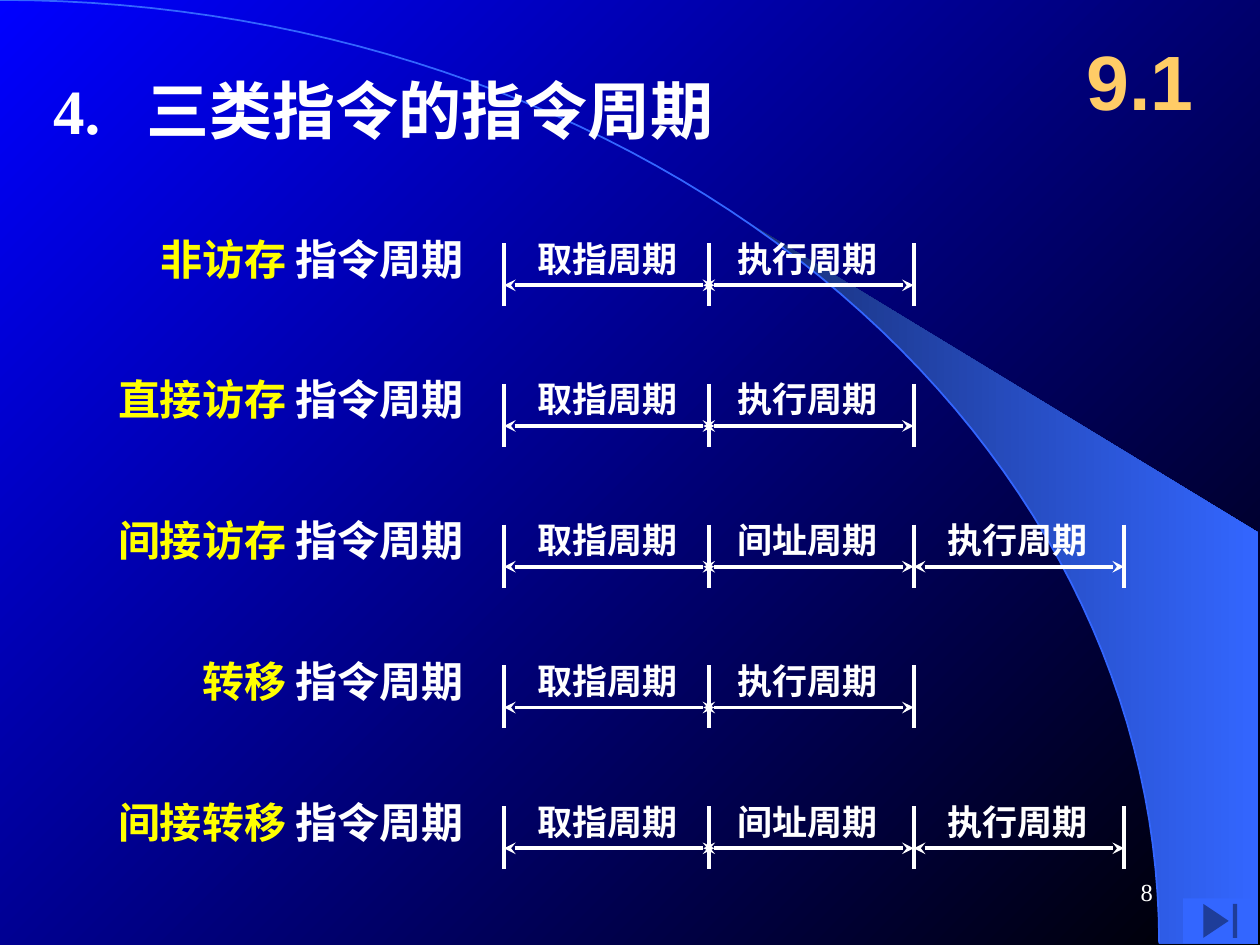
import math
from dataclasses import dataclass

from lxml import etree
from pptx import Presentation
from pptx import util as u
from pptx.dml import color
from pptx.enum import shapes, text
from pptx.oxml import ns


@dataclass(frozen=True)
class Theme:
    """Colours, fonts and type sizes of the deck."""
    white: str = "FFFFFF"
    yellow: str = "FFFF00"
    gold: str = "FFCC66"
    blue: str = "3366FF"
    beam_dark: str = "182F76"
    sky: tuple = ("0000FF", "000000")
    serif: str = "Times New Roman"
    sans: str = "Arial"
    section_size: int = 44
    title_size: int = 36
    kind_size: int = 24
    phase_size: int = 20
    page_size: int = 14
    rule_width: float = 2.25


THEME = Theme()
FETCH, INDIRECT, EXECUTE = "取指周期", "间址周期", "执行周期"
CYCLES = [
    ("非访存", [FETCH, EXECUTE]),
    ("直接访存", [FETCH, EXECUTE]),
    ("间接访存", [FETCH, INDIRECT, EXECUTE]),
    ("转移", [FETCH, EXECUTE]),
    ("间接转移", [FETCH, INDIRECT, EXECUTE]),
]
TICKS = [0, 4.13, 8.26, 12.5]
PHASE_STARTS = [0, 4.02, 8.26]
PHASE_LENGTH = 4.24


def rgb(code):
    """Turn a hex code into a colour."""
    return color.RGBColor.from_string(code)


def shade(fill, codes, angle):
    """Fill with a two-colour linear gradient."""
    fill.gradient()
    fill.gradient_angle = angle
    for stop, code, position in zip(fill.gradient_stops, codes, (0, 1)):
        stop.color.rgb = rgb(code)
        stop.position = position


def write(parent, box, runs, size, font=THEME.serif, bold=True, wrap=False,
          align=text.PP_ALIGN.LEFT, anchor=text.MSO_ANCHOR.TOP, side=0.25, tab=None):
    """Add a one-line text box holding (wording, colour) runs."""
    frame = parent.add_textbox(*map(u.Cm, box)).text_frame
    frame.word_wrap = wrap
    frame.vertical_anchor = anchor
    frame.margin_left = frame.margin_right = u.Cm(side)
    frame.margin_top = frame.margin_bottom = u.Cm(0.13)
    line = frame.paragraphs[0]
    line.alignment = align
    if tab:
        stops = etree.SubElement(line._p.get_or_add_pPr(), ns.qn("a:tabLst"))
        etree.SubElement(stops, ns.qn("a:tab"), pos=str(u.Cm(tab)), algn="l")
    line.font.name, line.font.size, line.font.bold = font, u.Pt(size), bold
    for wording, code in runs:
        run = line.add_run()
        run.text = wording
        run.font.color.rgb = rgb(code)


def rule(parent, start, end, arrows=False):
    """Draw a straight white line, with arrowheads at both ends if asked."""
    stroke = parent.add_connector(shapes.MSO_CONNECTOR.STRAIGHT,
                                  *map(u.Cm, (*start, *end)))
    stroke.line.color.rgb = rgb(THEME.white)
    stroke.line.width = u.Pt(THEME.rule_width)
    properties = stroke.element.spPr
    if arrows:
        for end_tag in ("a:headEnd", "a:tailEnd"):
            etree.SubElement(properties.find(ns.qn("a:ln")), ns.qn(end_tag), type="stealth")
    etree.SubElement(properties, ns.qn("a:effectLst"))


def outline(parent, points, close):
    """Build a freeform through points given in centimetres."""
    first, *rest = [(u.Cm(x), u.Cm(y)) for x, y in points]
    builder = parent.build_freeform(*first)
    builder.add_line_segments(rest, close=close)
    shape = builder.convert_to_shape()
    shape.shadow.inherit = False
    return shape


def backdrop(slide, box):
    """Paint the sky, the light beam and the curved horizon."""
    left, top, width, height = box
    shade(slide.background.fill, THEME.sky, 315)
    radius_x, radius_y, right = 0.92 * width, height - 0.03, left + width - 0.03

    def arc(first_degree):
        angles = [math.radians(first_degree + (90 - first_degree) * i / 60) for i in range(61)]
        return [(left + radius_x * math.sin(a), top + radius_y * (1 - math.cos(a)))
                for a in angles]

    corners = [(right, top + radius_y), (right, top + 10.74)]
    beam = outline(slide.shapes, arc(39.8) + corners, True)
    shade(beam.fill, (THEME.beam_dark, THEME.blue), 0)
    beam.line.fill.background()
    horizon = outline(slide.shapes, arc(0), False)
    horizon.fill.background()
    horizon.line.color.rgb = rgb(THEME.blue)
    horizon.line.width = u.Pt(1)


def header(slide, box):
    """Write the title at the left and the section number at the right."""
    left, top, width, _ = box
    middle = text.MSO_ANCHOR.MIDDLE
    write(slide.shapes, (left, top + 1.04, 14, 1.47),
          [("4.\t三类指令的指令周期", THEME.white)],
          THEME.title_size, wrap=True, anchor=middle, side=0, tab=1.88)
    write(slide.shapes, (left + width - 3.18, top, 3.18, 2.34), [("9.1", THEME.gold)],
          THEME.section_size, THEME.sans, wrap=True,
          align=text.PP_ALIGN.CENTER, anchor=middle)


def timeline(slide, box, phases):
    """Draw one cycle as phases between upright ticks."""
    left, top, _, height = box
    group = slide.shapes.add_group_shape().shapes
    for tick in TICKS[:len(phases) + 1]:
        rule(group, (left + tick, top), (left + tick, top + height))
    for start, phase in zip(PHASE_STARTS, phases):
        x, y = left + start, top + 0.85
        rule(group, (x, y), (x + PHASE_LENGTH, y), arrows=True)
        write(group, (x + 0.43, top - 0.25, 3.33, 1.12),
              [(phase, THEME.white)], THEME.phase_size)


def cycle_rows(slide, box):
    """Stack the named cycles at equal steps, each with its timeline."""
    left, top, width, height = box
    row_height, label_right, time_left = 1.27, 7.6, 8
    step = (height - row_height) / (len(CYCLES) - 1)
    for index, (kind, phases) in enumerate(CYCLES):
        y = top + index * step
        label_width = 0.85 * len(kind) + 4.23
        write(slide.shapes, (left + label_right - label_width, y - 0.33, label_width, 1.27),
              [(kind + " ", THEME.yellow), ("指令周期", THEME.white)], THEME.kind_size)
        timeline(slide, (left + time_left, y, width - time_left, row_height), phases)


def footer(slide, box):
    """Place the page number and the jump-to-end button."""
    left, top, width, height = box
    write(slide.shapes, (left, top, 5.28, 1.27), [("8", THEME.white)], THEME.page_size,
          bold=False, wrap=True, align=text.PP_ALIGN.RIGHT, anchor=text.MSO_ANCHOR.MIDDLE)
    button = slide.shapes.add_shape(
        shapes.MSO_SHAPE.ACTION_BUTTON_END,
        *map(u.Cm, (left + width - 1.5, top + height - 0.91, 1.5, 0.91)))
    button.shadow.inherit = False
    button.fill.solid()
    button.fill.fore_color.rgb = rgb(THEME.blue)
    button.line.fill.background()


def main():
    """Build the slide and save it."""
    deck = Presentation()
    deck.slide_width, deck.slide_height = u.Cm(25.4), u.Cm(19.05)
    slide = deck.slides.add_slide(deck.slide_layouts[6])
    backdrop(slide, (0, 0, 25.4, 19.05))
    header(slide, (1.07, 0.43, 23.5, 2.34))
    cycle_rows(slide, (2.16, 4.9, 20.5, 12.62))
    footer(slide, (18.21, 17.35, 7.14, 1.67))
    deck.save("out.pptx")


if __name__ == "__main__":
    main()
